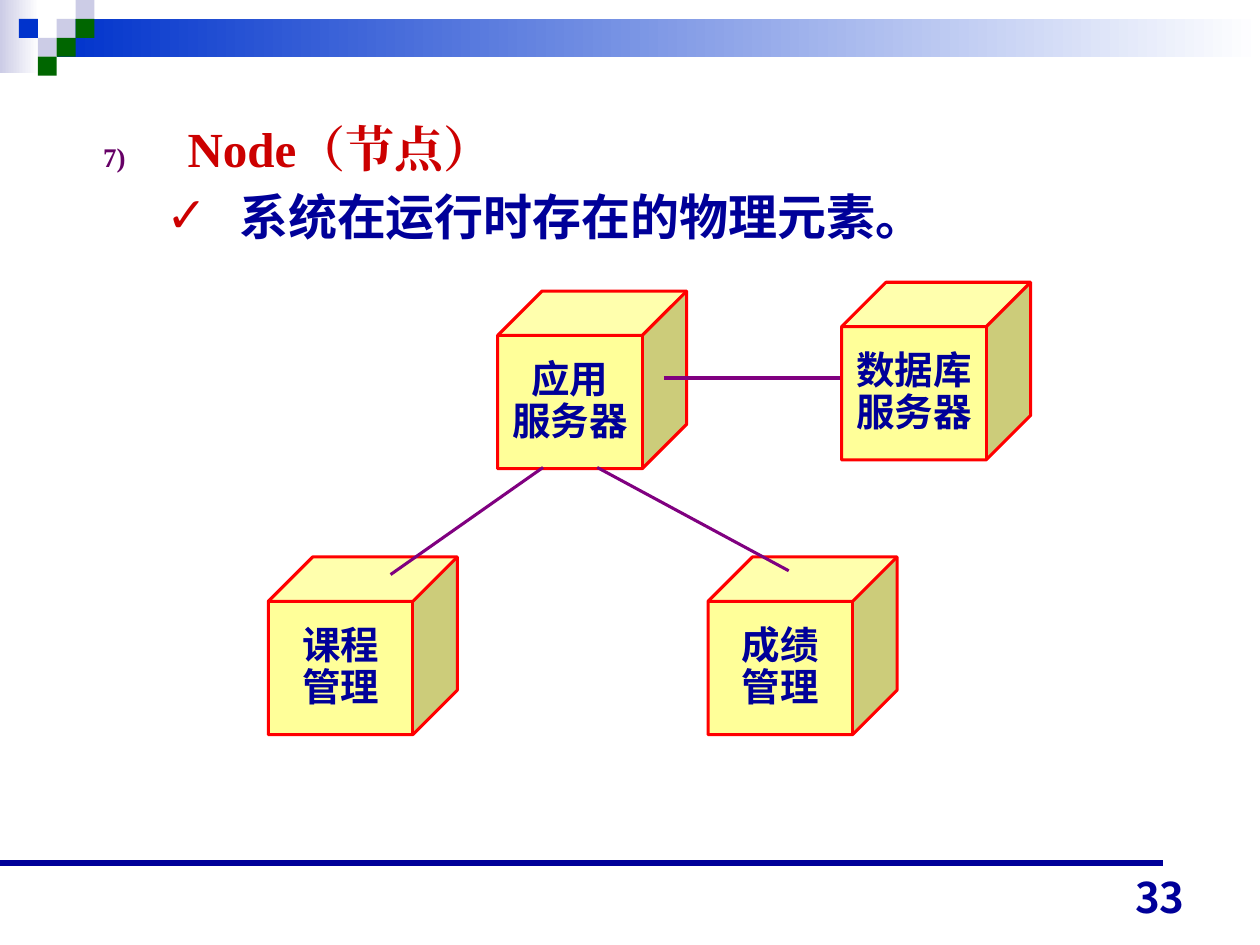
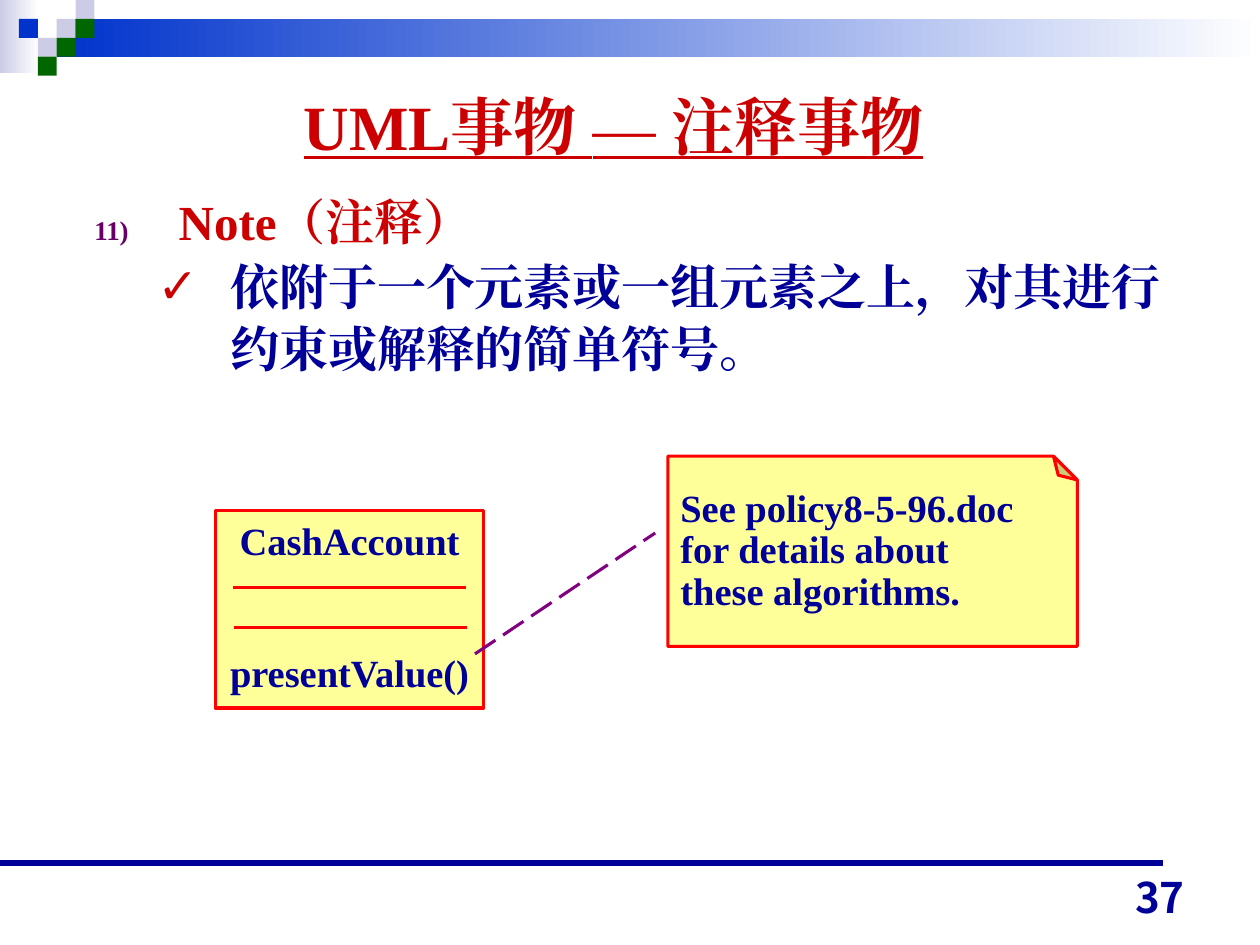
from typing import NamedTuple, Optional

from lxml.etree import SubElement
from pptx import Presentation
from pptx.dml.color import RGBColor
from pptx.enum.dml import MSO_LINE
from pptx.enum.lang import MSO_LANGUAGE_ID as Language
from pptx.enum.shapes import MSO_CONNECTOR as Connector, MSO_SHAPE as Shape
from pptx.enum.text import MSO_ANCHOR as Anchor, PP_ALIGN as Align
from pptx.oxml.ns import qn
from pptx.util import Emu, Pt

PX = 9144  # EMU, 100 px to the inch

NAVY = RGBColor(0x00, 0x00, 0x99)
RED = RGBColor(0xCC, 0x00, 0x00)
OUTLINE_RED = RGBColor(0xFF, 0x00, 0x00)
PURPLE = RGBColor(0x80, 0x00, 0x80)
NUMBER_PURPLE = RGBColor(0x66, 0x00, 0x66)
YELLOW = RGBColor(0xFF, 0xFF, 0x99)
BLUE = RGBColor(0x00, 0x33, 0xCC)
LILAC = RGBColor(0xCC, 0xCC, 0xE6)
GREEN = RGBColor(0x00, 0x66, 0x00)
WHITE = RGBColor(0xFF, 0xFF, 0xFF)

SERIF = "Times New Roman"
SANS = "Arial"
PAGE_NUMBER_FONT = "Noto Sans CJK JP"


class Box(NamedTuple):
    left: int
    top: int
    width: int
    height: int


class Style(NamedTuple):
    font: str
    size: int
    color: RGBColor
    align: Align = Align.LEFT
    line_spacing: float = 1.0


class Line(NamedTuple):
    start: tuple[int, int]
    end: tuple[int, int]
    color: RGBColor = PURPLE
    width: float = 1.75
    dash: Optional[MSO_LINE] = None


class Cube(NamedTuple):
    left: int
    top: int
    label: tuple[str, str]


class Square(NamedTuple):
    column: int
    row: int
    color: RGBColor


class Topic(NamedTuple):
    """A numbered term with one ticked explanation below it."""
    box: Box
    number: int
    term: str
    meaning: str
    meaning_font: str
    gap: float


TITLE_STYLE = Style(SERIF, 36, RED, Align.CENTER)
TERM_STYLE = Style(SERIF, 28, RED, line_spacing=1.05)
CUBE_STYLE = Style(SANS, 22, NAVY, Align.CENTER, 0.9)
CLASS_STYLE = Style(SERIF, 22, NAVY, Align.CENTER, 0.9)
NOTE_STYLE = Style(SERIF, 22, NAVY, line_spacing=0.9)
PAGE_NUMBER_STYLE = Style(PAGE_NUMBER_FONT, 24, NAVY, Align.RIGHT)

SQUARE_SIDE = 15
SQUARES = [
    Square(3, 1, LILAC), Square(4, 0, LILAC), Square(4, 1, GREEN), Square(2, 2, LILAC),
    Square(1, 1, BLUE), Square(3, 2, GREEN), Square(2, 3, GREEN),
]
CUBES = [
    Cube(668, 224, ("数据库", "服务器")),
    Cube(395, 231, ("应用", "服务器")),
    Cube(213, 442, ("课程", "管理")),
    Cube(562, 442, ("成绩", "管理")),
]
CUBE_LINKS = [
    Line((527, 300), (667, 300)),
    Line((431, 371), (310, 456)),
    Line((474, 371), (626, 453)),
]
NODE = Topic(Box(72, 87, 869, 127), 7, "Node（节点）",
             "系统在运行时存在的物理元素。", SANS, 3.5)
NOTE = Topic(Box(65, 145, 871, 200), 11, "Note（注释）",
             "依附于一个元素或一组元素之上，对其进行约束或解释的简单符号。", SERIF, 1.8)


def to_emu(lengths) -> list[Emu]:
    return [Emu(length * PX) for length in lengths]


def add_block(page, kind: Shape, box: Box, fill: RGBColor, fade: bool = False):
    """Add a borderless shape, optionally fading to white on the right."""
    shape = page.shapes.add_shape(kind, *to_emu(box))
    shape.shadow.inherit = False
    shape.line.fill.background()
    if fade:
        shape.fill.gradient()
        shape.fill.gradient_angle = 0
        for stop, color in zip(shape.fill.gradient_stops, (fill, WHITE)):
            stop.color.rgb = color
    else:
        shape.fill.solid()
        shape.fill.fore_color.rgb = fill
    return shape


def add_figure(page, kind: Shape, box: Box, wrap: bool = False):
    """Add a yellow diagram shape with a red outline, ready for text."""
    shape = add_block(page, kind, box, YELLOW)
    shape.line.color.rgb = OUTLINE_RED
    shape.line.width = Pt(1.75)
    frame = shape.text_frame
    frame.word_wrap = wrap
    frame.vertical_anchor = Anchor.MIDDLE
    frame.margin_left = frame.margin_right = Emu(10 * PX)
    frame.margin_top = frame.margin_bottom = Emu(10 * PX)
    return shape


def add_line(page, line: Line) -> None:
    connector = page.shapes.add_connector(
        Connector.STRAIGHT, *to_emu(line.start + line.end))
    connector.line.color.rgb = line.color
    connector.line.width = Pt(line.width)
    if line.dash is not None:
        connector.line.dash_style = line.dash
    SubElement(connector._element.spPr, qn("a:effectLst"))


def style_paragraph(para, style: Style) -> None:
    para.alignment = style.align
    para.line_spacing = style.line_spacing
    font = para.font
    font.name = style.font
    font.size = Pt(style.size)
    font.bold = True
    font.color.rgb = style.color
    font.language_id = Language.SIMPLIFIED_CHINESE
    defaults = para._p.pPr.find(qn("a:defRPr"))
    SubElement(defaults, qn("a:ea"), typeface=style.font)


def write_lines(frame, lines: tuple[str, ...], style: Style, gap: float = 0) -> None:
    """Write one paragraph per line, with the gap in points between them."""
    for index, text in enumerate(lines):
        para = frame.add_paragraph() if index else frame.paragraphs[0]
        para.text = text
        style_paragraph(para, style)
        if index:
            para.space_before = Pt(gap)


def add_text_frame(page, box: Box, anchor: Anchor = Anchor.TOP):
    frame = page.shapes.add_textbox(*to_emu(box)).text_frame
    frame.word_wrap = True
    frame.vertical_anchor = anchor
    return frame


def set_bullet(para, margin: int, hang: int, color: RGBColor, percent: int,
               font: str, tag: str, **mark: str) -> None:
    properties = para._p.get_or_add_pPr()
    properties.set("marL", str(margin * PX))
    properties.set("indent", str(-hang * PX))
    bullet_color = SubElement(properties, qn("a:buClr"))
    SubElement(bullet_color, qn("a:srgbClr"), val=str(color))
    SubElement(properties, qn("a:buSzPct"), val=str(percent * 1000))
    SubElement(properties, qn("a:buFont"), typeface=font)
    SubElement(properties, qn(tag), **mark)


def add_topic(page, topic: Topic) -> None:
    frame = add_text_frame(page, topic.box)
    term = frame.paragraphs[0]
    term.text = topic.term
    set_bullet(term, 67, 67, NUMBER_PURPLE, 55, SERIF, "a:buAutoNum",
               type="arabicParenR", startAt=str(topic.number))
    style_paragraph(term, TERM_STYLE)

    meaning = frame.add_paragraph()
    meaning.text = topic.meaning
    meaning.level = 1
    set_bullet(meaning, 108, 58, RED, 100, SANS, "a:buChar", char="✓")
    style_paragraph(meaning, TERM_STYLE._replace(font=topic.meaning_font, color=NAVY))
    meaning.space_before = Pt(topic.gap)


def add_page(deck, number: int):
    """Add a page with the shared header band, footer rule and page number."""
    page = deck.slides.add_slide(deck.slide_layouts[6])
    add_block(page, Shape.RECTANGLE, Box(0, 0, 31, 58), LILAC, fade=True)
    add_block(page, Shape.RECTANGLE, Box(45, 15, 955, 30), BLUE, fade=True)
    for square in SQUARES:
        box = Box(square.column * SQUARE_SIDE, square.row * SQUARE_SIDE,
                  SQUARE_SIDE, SQUARE_SIDE)
        add_block(page, Shape.RECTANGLE, box, square.color)
    add_line(page, Line((0, 685), (923, 685), NAVY, 3.5))
    frame = add_text_frame(page, Box(717, 687, 233, 50), Anchor.BOTTOM)
    write_lines(frame, (str(number),), PAGE_NUMBER_STYLE)
    return page


def add_node_page(deck) -> None:
    page = add_page(deck, 33)
    add_topic(page, NODE)
    for cube in CUBES:
        shape = add_figure(page, Shape.CUBE, Box(cube.left, cube.top, 150, 141))
        write_lines(shape.text_frame, cube.label, CUBE_STYLE)
    for link in CUBE_LINKS:
        add_line(page, link)


def add_note_page(deck) -> None:
    page = add_page(deck, 37)
    title = add_text_frame(page, Box(62, 52, 850, 95), Anchor.MIDDLE).paragraphs[0]
    for text in ("UML事物 ", "—", " 注释事物"):
        span = title.add_run()
        span.text = text
        if text == "—":
            span.font.bold = False
    style_paragraph(title, TITLE_STYLE)
    title.font.underline = True
    add_topic(page, NOTE)

    account = add_figure(page, Shape.RECTANGLE, Box(171, 405, 213, 157))
    write_lines(account.text_frame, ("CashAccount", "presentValue()"), CLASS_STYLE, gap=52)
    for left, top in ((185, 466), (186, 498)):
        add_line(page, Line((left, top), (left + 185, top), OUTLINE_RED))

    note = add_figure(page, Shape.FOLDED_CORNER, Box(617, 275, 151, 325), wrap=True)
    fold = note._element.spPr.find(qn("a:prstGeom")).get_or_add_avLst()
    SubElement(fold, qn("a:gd"), name="adj", fmla="val 12500")
    note.rotation = 270
    note.text_frame._txBody.bodyPr.set("vert", "eaVert")
    write_lines(note.text_frame,
                ("See policy8-5-96.doc for details about these algorithms.",), NOTE_STYLE)
    add_line(page, Line((377, 519), (520, 423), dash=MSO_LINE.LONG_DASH))


def main() -> None:
    deck = Presentation()
    deck.slide_width, deck.slide_height = to_emu((1000, 750))
    add_node_page(deck)
    add_note_page(deck)
    deck.save("out.pptx")


if __name__ == "__main__":
    main()
